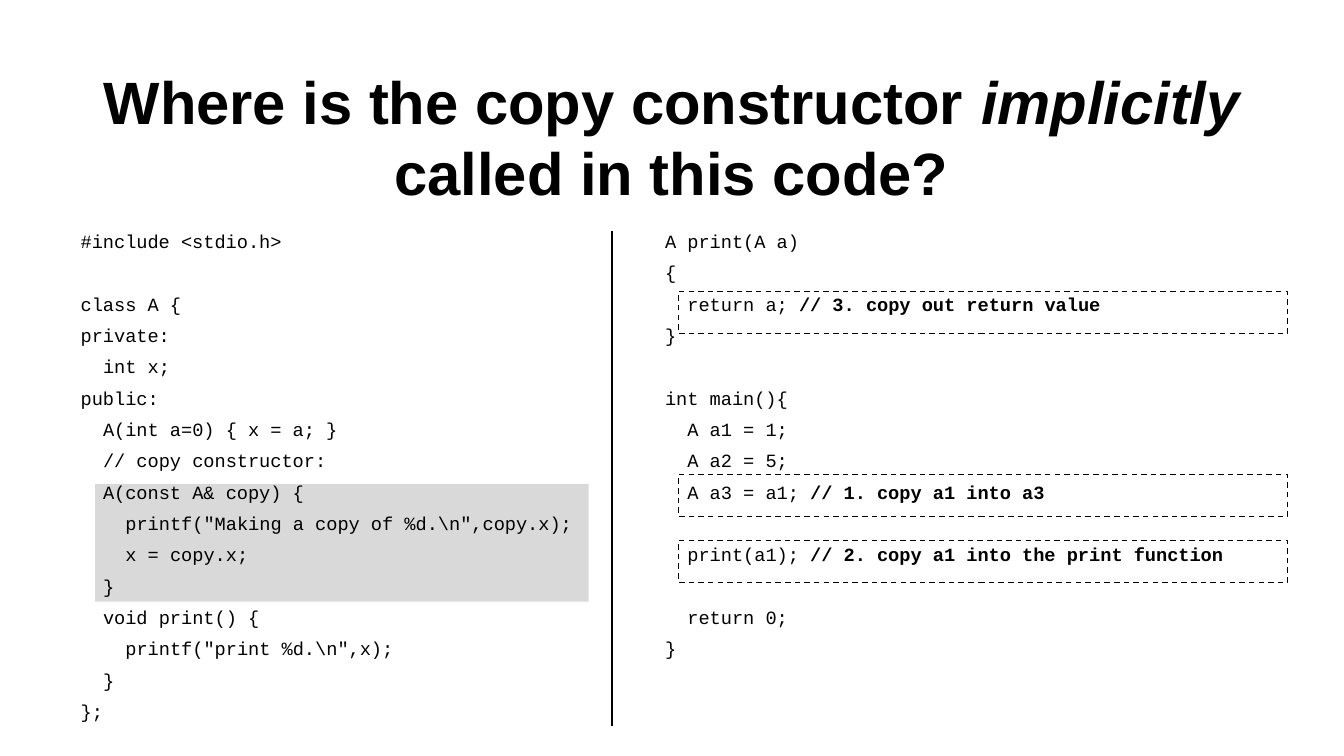
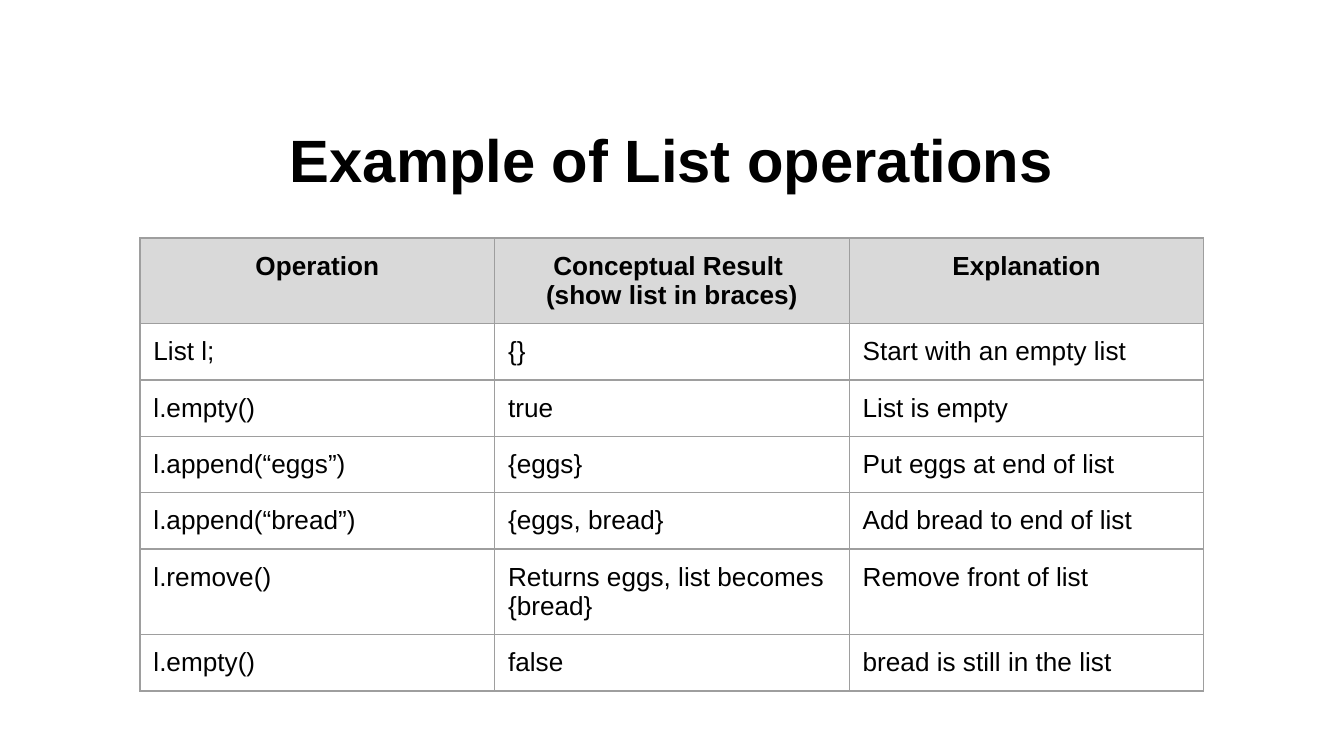
from lxml import etree
from pptx import Presentation
from pptx.dml.color import RGBColor
from pptx.enum.dml import MSO_LINE
from pptx.enum.shapes import MSO_CONNECTOR, MSO_SHAPE
from pptx.enum.text import MSO_ANCHOR, MSO_AUTO_SIZE, PP_ALIGN
from pptx.oxml.ns import qn
from pptx.util import Pt

BLACK = RGBColor(0x00, 0x00, 0x00)
WHITE = RGBColor(0xFF, 0xFF, 0xFF)
LIGHT_GRAY = RGBColor(0xD9, 0xD9, 0xD9)
BORDER_GRAY = RGBColor(0x9E, 0x9E, 0x9E)

DASH = MSO_LINE.DASH
STRAIGHT = MSO_CONNECTOR.STRAIGHT
RECTANGLE = MSO_SHAPE.RECTANGLE
TOP = MSO_ANCHOR.TOP
MIDDLE = MSO_ANCHOR.MIDDLE
FIXED_SIZE = MSO_AUTO_SIZE.NONE
LEFT = PP_ALIGN.LEFT
CENTER = PP_ALIGN.CENTER

TEXT_FONT = "Arial"
CODE_FONT = "Courier New"
INSET = Pt(7.2)
THIN_LINE = Pt(0.75)
CODE_SIZE = 10
CODE_LINE = 12
CODE_GAP = 4.8
CODE_CHARACTER = 6
CODE_TOP = 116

CLASS_CODE = """#include <stdio.h>

class A {
private:
  int x;
public:
  A(int a=0) { x = a; }
  // copy constructor:
  A(const A& copy) {
    printf("Making a copy of %d.\\n",copy.x);
    x = copy.x;
  }
  void print() {
    printf("print %d.\\n",x);
  }
};"""

MAIN_CODE = """A print(A a)
{
  return a; // 3. copy out return value
}

int main(){
  A a1 = 1;
  A a2 = 5;
  A a3 = a1; // 1. copy a1 into a3

  print(a1); // 2. copy a1 into the print function

  return 0;
}"""

OPERATIONS = [
    ("Operation", "Conceptual Result \n(show list in braces)", "Explanation"),
    ("List l;", "{}", "Start with an empty list"),
    ("l.empty()", "true", "List is empty"),
    ("l.append(“eggs”)", "{eggs}", "Put eggs at end of list"),
    ("l.append(“bread”)", "{eggs, bread}", "Add bread to end of list"),
    ("l.remove()", "Returns eggs, list becomes {bread}", "Remove front of list"),
    ("l.empty()", "false", "bread is still in the list"),
]


def add_run(paragraph, text, font_name, size, bold=False, italic=False):
    run = paragraph.add_run()
    run.text = text
    run.font.name = font_name
    run.font.size = Pt(size)
    run.font.bold = bold
    run.font.italic = italic
    run.font.color.rgb = BLACK


def place(shape, left, top, width, height):
    shape.left, shape.top = Pt(left), Pt(top)
    shape.width, shape.height = Pt(width), Pt(height)


def set_frame(frame, anchor):
    frame.word_wrap = True
    frame.auto_size = FIXED_SIZE
    frame.vertical_anchor = anchor
    frame.margin_left = frame.margin_right = INSET
    frame.margin_top = frame.margin_bottom = INSET


def set_title(slide, top, runs):
    title = slide.shapes.title
    place(title, 36, top, 648, 63.4)
    set_frame(title.text_frame, MIDDLE)
    paragraph = title.text_frame.paragraphs[0]
    paragraph.alignment = CENTER
    paragraph.space_before = Pt(0)
    for text, italic in runs:
        add_run(paragraph, text, TEXT_FONT, 32, bold=True, italic=italic)


def indent_code(paragraph, columns):
    properties = paragraph._p.get_or_add_pPr()
    properties.set("marL", str(Pt(columns * CODE_CHARACTER)))
    properties.set("indent", "0")
    etree.SubElement(properties, qn("a:buNone"))


def write_code(frame, code, bold_comments=False):
    set_frame(frame, TOP)
    paragraph = frame.paragraphs[0]
    gap = CODE_GAP
    for index, line in enumerate(code.split("\n")):
        text = line.lstrip()
        if not text:
            gap += CODE_LINE + CODE_GAP
            continue
        if index:
            paragraph = frame.add_paragraph()
        paragraph.alignment = LEFT
        paragraph.line_spacing = Pt(CODE_LINE)
        paragraph.space_before = Pt(gap)
        paragraph.space_after = Pt(0)
        indent_code(paragraph, len(line) - len(text))
        statement, marker, comment = text.partition("//")
        if bold_comments and marker:
            add_run(paragraph, statement, CODE_FONT, CODE_SIZE)
            add_run(paragraph, marker + comment, CODE_FONT, CODE_SIZE, bold=True)
        else:
            add_run(paragraph, text, CODE_FONT, CODE_SIZE)
        gap = CODE_GAP


def add_rectangle(slide, left, top, width, height):
    shape = slide.shapes.add_shape(
        RECTANGLE, Pt(left), Pt(top), Pt(width), Pt(height))
    shape.shadow.inherit = False
    return shape


def add_highlight(slide, left, top, width, height):
    shape = add_rectangle(slide, left, top, width, height)
    shape.fill.solid()
    shape.fill.fore_color.rgb = LIGHT_GRAY
    shape.line.fill.background()
    slide.shapes._spTree.insert(2, shape._element)


def add_dashed_box(slide, top):
    shape = add_rectangle(slide, 363.6, top, 326.2, 22.5)
    shape.fill.background()
    shape.line.color.rgb = BLACK
    shape.line.width = THIN_LINE
    shape.line.dash_style = DASH


def add_divider(slide, left, top, bottom):
    divider = slide.shapes.add_connector(
        STRAIGHT, Pt(left), Pt(top), Pt(left), Pt(bottom))
    divider.line.color.rgb = BLACK
    divider.line.width = THIN_LINE
    etree.SubElement(divider._element.spPr, qn("a:effectLst"))


def set_borders(cell):
    properties = cell._tc.get_or_add_tcPr()
    for side in ("a:lnL", "a:lnR", "a:lnT", "a:lnB"):
        line = etree.SubElement(properties, qn(side), w=str(THIN_LINE))
        fill = etree.SubElement(line, qn("a:solidFill"))
        etree.SubElement(fill, qn("a:srgbClr"), val=str(BORDER_GRAY))


def fill_cell(cell, text, is_header):
    set_borders(cell)
    cell.fill.solid()
    cell.fill.fore_color.rgb = LIGHT_GRAY if is_header else WHITE
    cell.vertical_anchor = TOP
    cell.margin_left = cell.margin_right = INSET
    cell.margin_top = cell.margin_bottom = INSET
    frame = cell.text_frame
    for index, line in enumerate(text.split("\n")):
        paragraph = frame.add_paragraph() if index else frame.paragraphs[0]
        paragraph.alignment = CENTER if is_header else LEFT
        add_run(paragraph, line, TEXT_FONT, 14, bold=is_header)


def add_operations_table(slide, left, top, column_width, row_height):
    row_count, column_count = len(OPERATIONS), len(OPERATIONS[0])
    table = slide.shapes.add_table(
        row_count, column_count, Pt(left), Pt(top),
        Pt(column_width * column_count), Pt(row_height * row_count)).table
    table.first_row = False
    table.horz_banding = False
    for column in table.columns:
        column.width = Pt(column_width)
    for row_index, texts in enumerate(OPERATIONS):
        table.rows[row_index].height = Pt(row_height)
        for column_index, text in enumerate(texts):
            fill_cell(table.cell(row_index, column_index), text, row_index == 0)


def build_code_slide(presentation):
    slide = presentation.slides.add_slide(presentation.slide_layouts[1])
    add_highlight(slide, 51, 259.2, 264.4, 63.2)
    set_title(slide, 41.2, [
        ("Where is the copy constructor ", False),
        ("implicitly ", True),
        ("called in this code?", False),
    ])
    body = slide.placeholders[1]
    place(body, 36, CODE_TOP, 286.6, 183.6)
    write_code(body.text_frame, CLASS_CODE)
    main_box = slide.shapes.add_textbox(
        Pt(349.2), Pt(CODE_TOP), Pt(344.2), Pt(236.2))
    write_code(main_box.text_frame, MAIN_CODE, bold_comments=True)
    add_divider(slide, 327.8, 123.8, 388.8)
    for top in (156.2, 254.3, 289.5):
        add_dashed_box(slide, top)


def build_list_slide(presentation):
    slide = presentation.slides.add_slide(presentation.slide_layouts[5])
    set_title(slide, 53.5, [("Example of List operations", False)])
    add_operations_table(slide, 75, 127.5, 190, 30.2)


def main():
    presentation = Presentation()
    presentation.slide_width = Pt(720)
    presentation.slide_height = Pt(405)
    build_code_slide(presentation)
    build_list_slide(presentation)
    presentation.save("out.pptx")


main()
